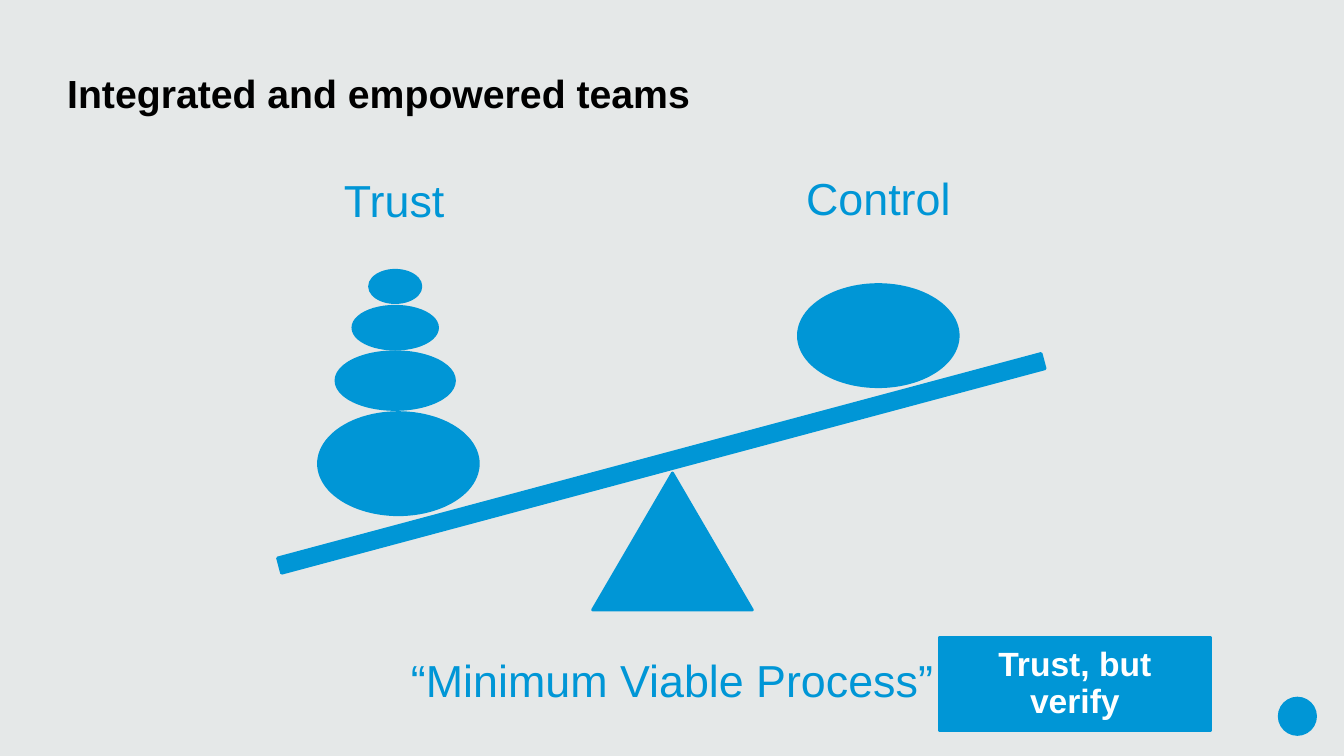
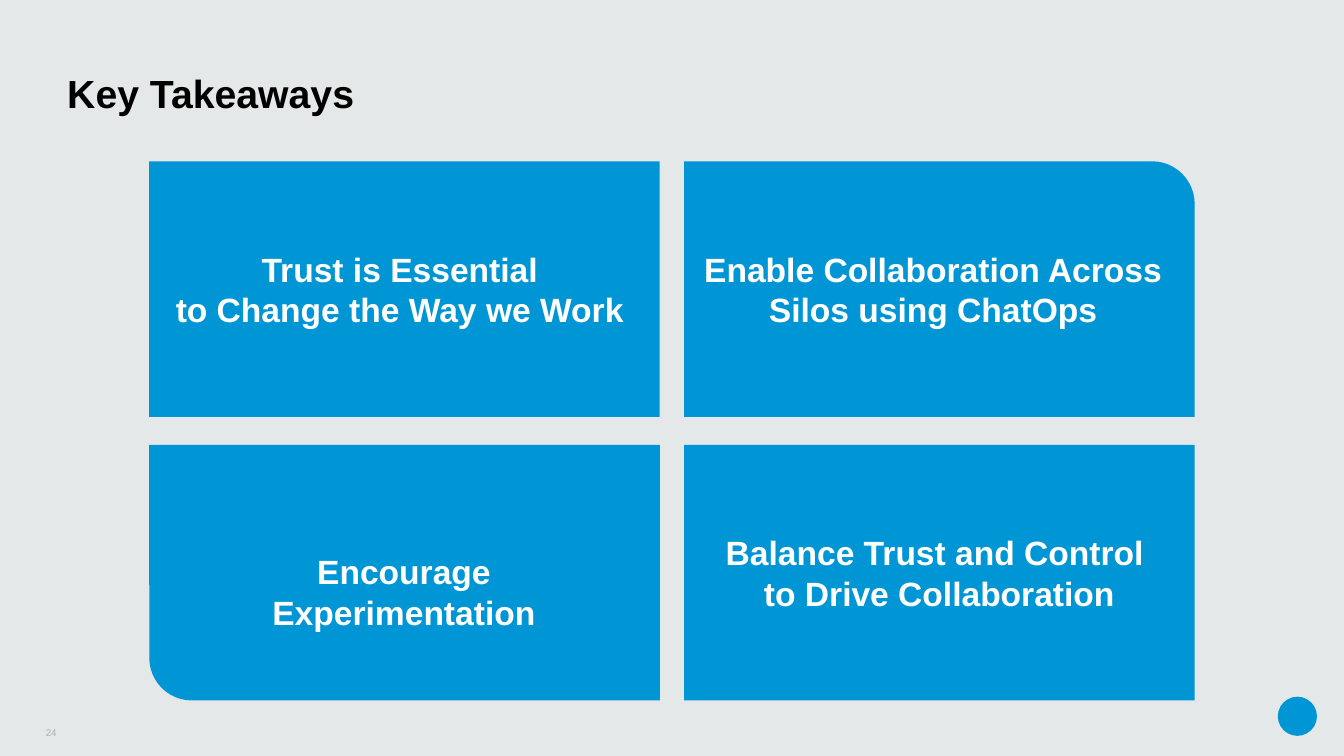
from pptx import Presentation
from pptx import util as u
from pptx.dml.color import RGBColor
from pptx.enum import shapes, text

KIND = shapes.MSO_SHAPE
ALIGN = text.PP_ALIGN
ANCHOR = text.MSO_ANCHOR

THEME = {
    "font": "Arial",
    "blue": RGBColor.from_string("0096D6"),
    "background": RGBColor.from_string("E5E8E8"),
    "black": RGBColor.from_string("000000"),
    "white": RGBColor.from_string("FFFFFF"),
    "gray": RGBColor.from_string("A8B2B2"),
    "outline": 1.5,
}
STYLES = {
    "title": {"size": 21, "bold": True, "color": "black", "align": ALIGN.LEFT,
              "spacing": 0.9, "anchor": ANCHOR.BOTTOM, "margins": (0, 0)},
    "label": {"size": 24, "bold": False, "color": "blue", "align": ALIGN.CENTER,
              "spacing": 0.9, "anchor": ANCHOR.TOP, "margins": (0, 0)},
    "callout": {"size": 18, "bold": True, "color": "white", "align": ALIGN.CENTER,
                "spacing": 0.9, "anchor": ANCHOR.MIDDLE, "margins": (0.25, 0.13)},
    "card": {"size": 18, "bold": True, "color": "white", "align": ALIGN.CENTER,
             "spacing": 1.0, "anchor": ANCHOR.MIDDLE, "margins": (0.18, 0.18)},
    "card label": {"size": 18, "bold": True, "color": "white", "align": ALIGN.CENTER,
                   "spacing": 1.0, "anchor": ANCHOR.TOP, "margins": (0.25, 0.13)},
    "number": {"size": 5.2, "bold": False, "color": "gray", "align": ALIGN.RIGHT,
               "spacing": 1.0, "anchor": ANCHOR.BOTTOM, "margins": (0, 0)},
}

SLIDE_SIZE = (25.4, 14.29)
TITLE_BOX = (1.27, 0.64, 22.86, 1.57)
LOGO_BOX = (24.15, 13.17, 0.74, 0.74)

BALANCE_TITLE = "Integrated and empowered teams"
BALANCE_LABELS = [
    ("Trust", (4.67, 3.38, 5.56, 1.57)),
    ("Control", (13.82, 3.35, 5.56, 1.57)),
    ("“Minimum Viable Process”", (3.81, 12.45, 17.78, 1.02)),
]
FULCRUM_BOX = (11.2, 8.94, 3.02, 2.59)
BEAM_BOX = (5.03, 8.61, 14.94, 0.3)
BEAM_ANGLE = 345
STONES = [
    (16.6, 5.38, 3.02, 1.93),
    (7.53, 7.8, 3.02, 1.93),
    (7.47, 6.65, 2.24, 1.09),
    (7.47, 5.79, 1.6, 0.81),
    (7.47, 5.11, 0.97, 0.61),
]
CALLOUT = ("Trust, but verify", (17.75, 12.04, 5.13, 1.78))

TAKEAWAYS_TITLE = "Key Takeaways"
CARDS = [
    ("Trust is Essential \nto Change the Way we Work ", KIND.RECTANGLE, 0),
    ("Enable Collaboration Across Silos using ChatOps", KIND.ROUND_1_RECTANGLE, 0),
    ("", KIND.ROUND_1_RECTANGLE, 180),
    ("Balance Trust and Control \nto Drive Collaboration", KIND.RECTANGLE, 0),
]
CARD_ORIGIN = (2.82, 3.05)
CARD_SIZE = (9.65, 4.83)
CARD_GAP = (0.46, 0.53)
CARD_LABEL = ("Encourage Experimentation", (3.56, 10.29, 8.15, 1.02))
PAGE_NUMBER = ("24", (0.43, 13.49, 0.64, 0.46))


def lengths(box):
    return [u.Cm(value) for value in box]


def set_all(target, values):
    for name, value in values.items():
        setattr(target, name, value)


def write(shape, words, style_name, wrap=True):
    style = STYLES[style_name]
    side, edge = lengths(style["margins"])
    frame = shape.text_frame
    set_all(frame, {
        "auto_size": text.MSO_AUTO_SIZE.NONE,
        "word_wrap": wrap,
        "vertical_anchor": style["anchor"],
        "margin_left": side,
        "margin_right": side,
        "margin_top": edge,
        "margin_bottom": edge,
    })
    paragraph = frame.paragraphs[0]
    paragraph.text = words
    set_all(paragraph, {"alignment": style["align"], "line_spacing": style["spacing"]})
    for run in paragraph.runs:
        set_all(run.font, {"name": THEME["font"], "size": u.Pt(style["size"]),
                           "bold": style["bold"]})
        run.font.color.rgb = THEME[style["color"]]


def add_text(slide, words, box, style_name, wrap=True):
    write(slide.shapes.add_textbox(*lengths(box)), words, style_name, wrap)


def add_blue(slide, kind, box, rotation=0, outlined=True):
    shape = slide.shapes.add_shape(kind, *lengths(box))
    set_all(shape, {"rotation": rotation})
    shape.shadow.inherit = False
    shape.fill.solid()
    shape.fill.fore_color.rgb = THEME["blue"]
    if outlined:
        shape.line.color.rgb = THEME["blue"]
        shape.line.width = u.Pt(THEME["outline"])
    else:
        shape.line.fill.background()
    return shape


def add_slide(presentation, title):
    slide = presentation.slides.add_slide(presentation.slide_layouts[5])
    add_blue(slide, KIND.OVAL, LOGO_BOX, outlined=False)
    placeholder = slide.shapes.title
    set_all(placeholder, dict(zip(("left", "top", "width", "height"), lengths(TITLE_BOX))))
    write(placeholder, title, "title")
    return slide


def build_balance(presentation):
    slide = add_slide(presentation, BALANCE_TITLE)
    for words, box in BALANCE_LABELS:
        add_text(slide, words, box, "label")
    add_blue(slide, KIND.ISOSCELES_TRIANGLE, FULCRUM_BOX)
    add_blue(slide, KIND.RECTANGLE, BEAM_BOX, BEAM_ANGLE)
    for center, top, width, height in STONES:
        add_blue(slide, KIND.OVAL, (center - width / 2, top, width, height))
    words, box = CALLOUT
    write(add_blue(slide, KIND.RECTANGLE, box), words, "callout")


def build_takeaways(presentation):
    slide = add_slide(presentation, TAKEAWAYS_TITLE)
    add_text(slide, *PAGE_NUMBER, "number", wrap=False)
    for index, (words, kind, rotation) in enumerate(CARDS):
        row, column = divmod(index, 2)
        left, top = (origin + place * (size + gap) for origin, place, size, gap
                     in zip(CARD_ORIGIN, (column, row), CARD_SIZE, CARD_GAP))
        card = add_blue(slide, kind, (left, top, *CARD_SIZE), rotation, outlined=False)
        if words:
            write(card, words, "card")
    add_text(slide, *CARD_LABEL, "card label")


def main():
    presentation = Presentation()
    width, height = lengths(SLIDE_SIZE)
    set_all(presentation, {"slide_width": width, "slide_height": height})
    background = presentation.slide_master.background.fill
    background.solid()
    background.fore_color.rgb = THEME["background"]
    build_balance(presentation)
    build_takeaways(presentation)
    presentation.save("out.pptx")


if __name__ == "__main__":
    main()
